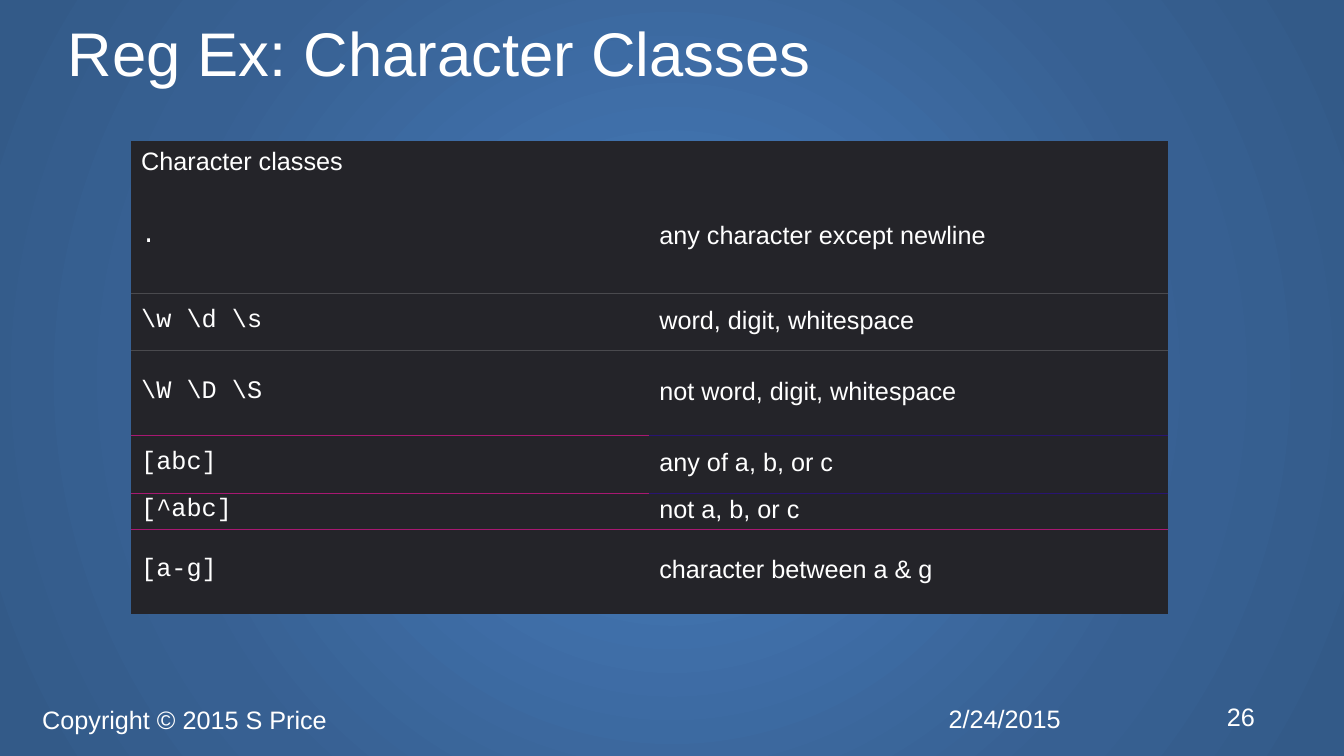
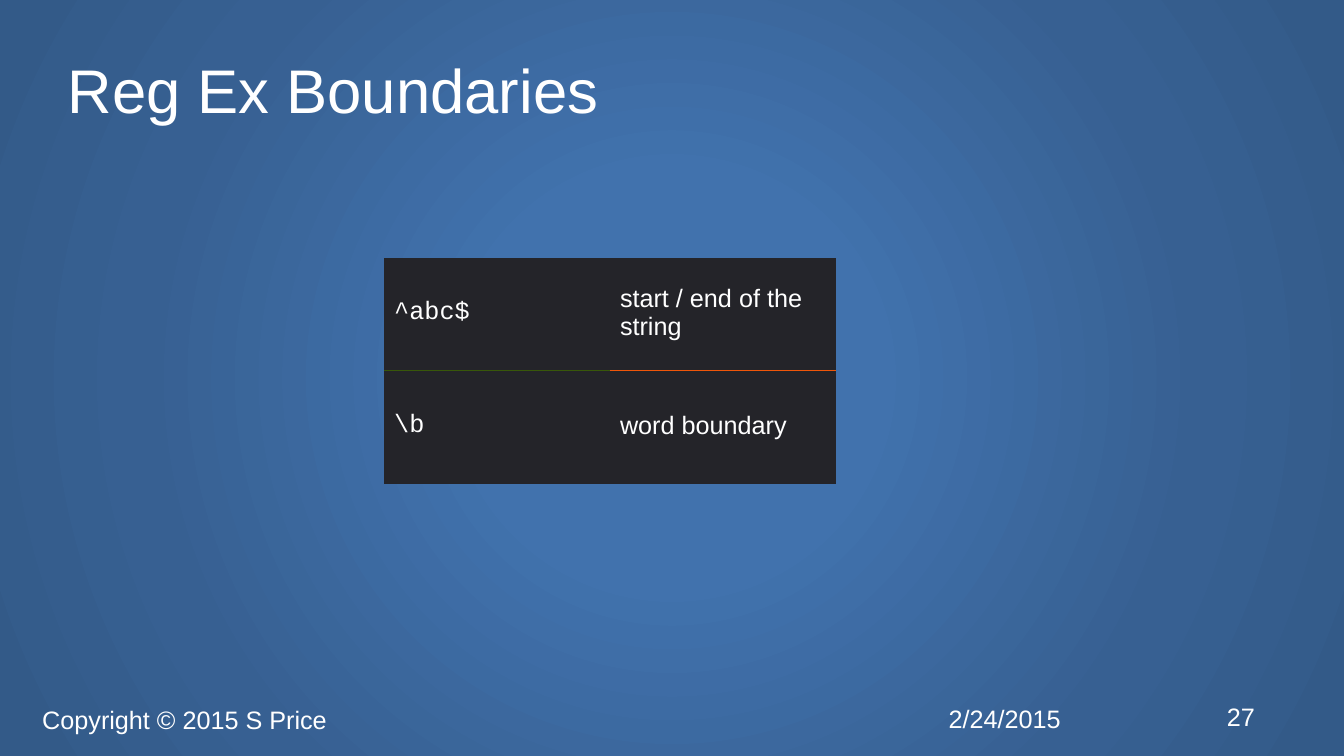
from dataclasses import dataclass

from lxml import etree
from pptx import Presentation
from pptx.dml.color import RGBColor
from pptx.enum.text import MSO_ANCHOR, PP_ALIGN
from pptx.oxml import parse_xml
from pptx.oxml.ns import nsdecls, qn
from pptx.util import Inches, Pt

MIDDLE = MSO_ANCHOR.MIDDLE
LEFT = PP_ALIGN.LEFT
TITLE_ONLY = 5
NO_STYLE = "{2D5ABB26-0587-4C30-8999-92F81FD0307C}"


@dataclass(frozen=True)
class Theme:
    font: str = "Arial"
    code_font: str = "Courier New"
    title_size: int = 44
    text_size: int = 18
    text: str = "FFFFFF"
    cell: str = "242429"
    grey: str = "4A4A4E"
    magenta: str = "A81872"
    indigo: str = "281472"
    olive: str = "385709"
    orange: str = "F05609"
    backdrop: tuple = ((0, "4172AD"), (26, "4172AD"), (69, "376092"), (97, "335A88"))


T = Theme()

CLASS_ROWS = [
    (".", "any character except newline"),
    (r"\w \d \s", "word, digit, whitespace"),
    (r"\W \D \S", "not word, digit, whitespace"),
    ("[abc]", "any of a, b, or c"),
    ("[^abc]", "not a, b, or c"),
    ("[a-g]", "character between a & g"),
]
CLASS_RULES = [
    (T.grey, T.grey),
    (T.grey, T.grey),
    (T.magenta, T.indigo),
    (T.magenta, T.indigo),
    (T.magenta, T.magenta),
]
BOUNDARY_ROWS = [("^abc$", "start / end of the string"), (r"\b", "word boundary")]
BOUNDARY_RULES = [(T.olive, T.orange)]


def set_text(tf, text, size=T.text_size, font=T.font):
    tf.text = text
    p = tf.paragraphs[0]
    p.alignment = LEFT
    for r in p.runs:
        r.font.size = Pt(size)
        r.font.name = font
        r.font.color.rgb = RGBColor.from_string(T.text)
    return p


def set_backdrop(master):
    fill = master.background.fill
    fill.solid()
    stops = "".join(
        f'<a:gs pos="{pos * 1000}"><a:srgbClr val="{color}"/></a:gs>'
        for pos, color in T.backdrop
    )
    gradient = parse_xml(
        f'<a:gradFill {nsdecls("a")} rotWithShape="1"><a:gsLst>{stops}</a:gsLst>'
        '<a:path path="circle">'
        '<a:fillToRect l="50000" t="50000" r="50000" b="50000"/>'
        "</a:path></a:gradFill>"
    )
    solid = next(master.element.iter(qn("p:bgPr"))).find(qn("a:solidFill"))
    solid.getparent().replace(solid, gradient)


def add_title(s, text, bottom_inset):
    title = s.shapes.title
    title.left, title.top = Inches(0.67), Inches(0.3)
    title.width, title.height = Inches(12), Inches(1.25)
    tf = title.text_frame
    tf.margin_left = tf.margin_top = tf.margin_right = 0
    tf.margin_bottom = Inches(bottom_inset)
    tf.vertical_anchor = MIDDLE
    set_text(tf, text, T.title_size).line_spacing = 0.9


def add_label(s, text, left, top, width):
    sp = s.shapes.add_textbox(Inches(left), Inches(top), Inches(width), Inches(0.41))
    tf = sp.text_frame
    tf.word_wrap = True
    tf.vertical_anchor = MIDDLE
    set_text(tf, text)


def add_footer(s, number):
    add_label(s, "2/24/2015", 9.31, 6.92, 1.75)
    add_label(s, "Copyright © 2015 S Price", 0.32, 6.93, 8.99)
    add_label(s, str(number), 12.07, 6.9, 0.6)


def add_slide(prs, title, number, bottom_inset=0):
    s = prs.slides.add_slide(prs.slide_layouts[TITLE_ONLY])
    add_title(s, title, bottom_inset)
    add_footer(s, number)
    return s


def set_cell(cell, text, font=T.font):
    cell.fill.solid()
    cell.fill.fore_color.rgb = RGBColor.from_string(T.cell)
    cell.vertical_anchor = MIDDLE
    set_text(cell.text_frame, text, font=font)


def rule_below(cell, color):
    ln = etree.Element(qn("a:lnB"), w=str(Pt(0.75)))
    fill = etree.SubElement(ln, qn("a:solidFill"))
    etree.SubElement(fill, qn("a:srgbClr"), val=color)
    cell._tc.get_or_add_tcPr().insert(0, ln)


def add_pattern_table(s, left, top, col_width, heights, rows, rules, heading=None):
    first = 1 if heading else 0
    table = s.shapes.add_table(
        len(heights), 2, Inches(left), Inches(top),
        Inches(2 * col_width), Inches(sum(heights)),
    ).table
    table.first_row = table.horz_banding = False
    next(table._tbl.iter(qn("a:tableStyleId"))).text = NO_STYLE
    for col in table.columns:
        col.width = Inches(col_width)
    for row, height in zip(table.rows, heights):
        row.height = Inches(height)
    if heading:
        table.cell(0, 0).merge(table.cell(0, 1))
        set_cell(table.cell(0, 0), heading)
    for i, texts in enumerate(rows, first):
        for j, (text, font) in enumerate(zip(texts, (T.code_font, T.font))):
            cell = table.cell(i, j)
            set_cell(cell, text, font)
            cell.margin_top, cell.margin_bottom = Inches(0.01), Inches(0.04)
    for i, colors in enumerate(rules, first):
        for j, color in enumerate(colors):
            rule_below(table.cell(i, j), color)


def main():
    prs = Presentation()
    prs.slide_width, prs.slide_height = Inches(13.33), Inches(7.5)
    set_backdrop(prs.slide_master)

    s = add_slide(prs, "Reg Ex: Character Classes", 26, bottom_inset=0.73)
    add_pattern_table(
        s, 1.3, 1.4, 5.14, [0.39, 1.11, 0.57, 0.84, 0.58, 0.33, 0.84],
        CLASS_ROWS, CLASS_RULES, heading="Character classes",
    )

    s = add_slide(prs, "Reg Ex Boundaries", 27)
    add_pattern_table(s, 3.81, 2.56, 2.24, [1.12, 1.12], BOUNDARY_ROWS, BOUNDARY_RULES)

    prs.save("out.pptx")


if __name__ == "__main__":
    main()
